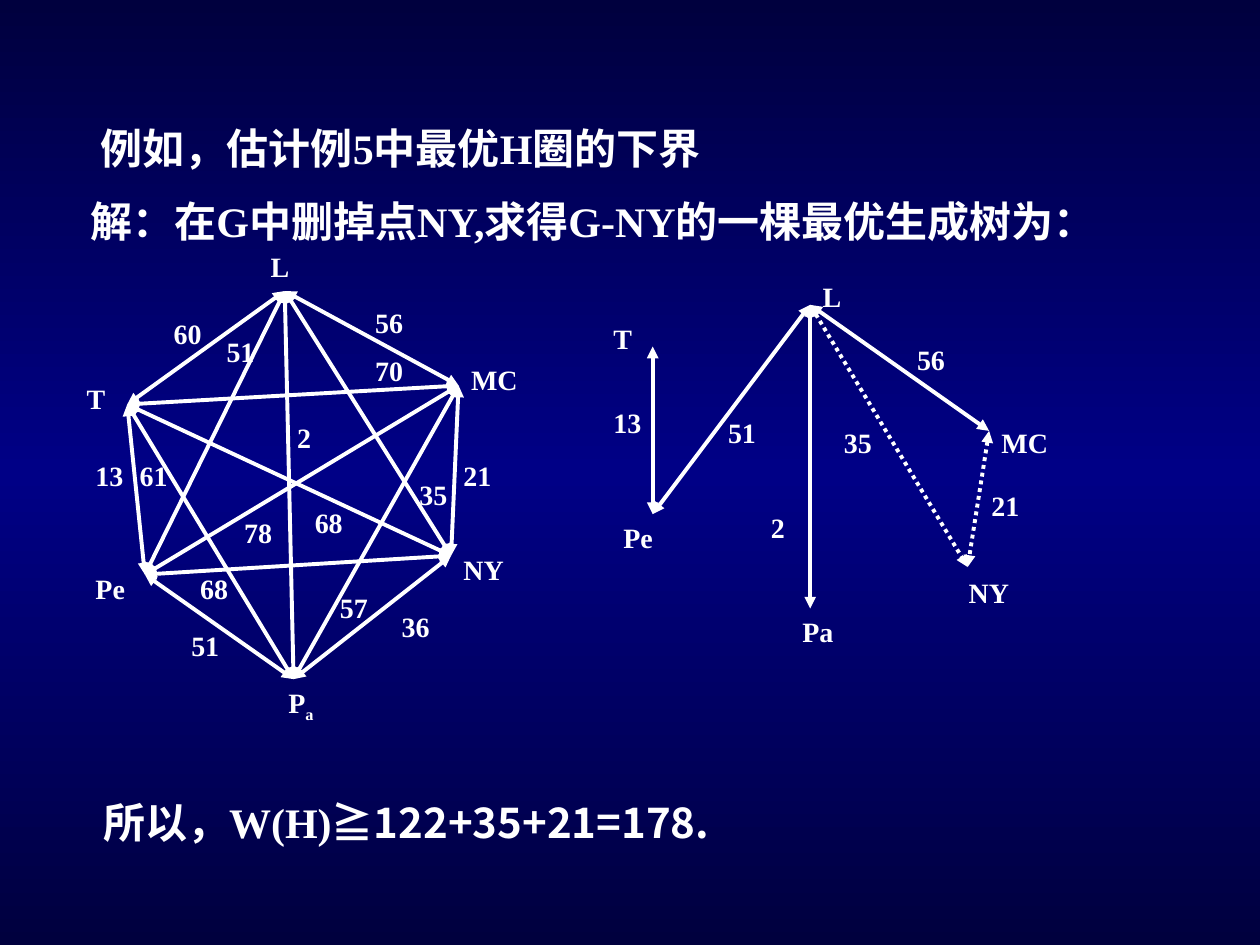
from copy import deepcopy
from itertools import combinations

from lxml.etree import SubElement
from pptx import Presentation
from pptx.dml.color import RGBColor
from pptx.enum.dml import MSO_LINE
from pptx.enum.shapes import MSO_CONNECTOR
from pptx.enum.text import MSO_ANCHOR, MSO_AUTO_SIZE, PP_ALIGN
from pptx.oxml.ns import qn
from pptx.util import Inches, Pt

LATIN = "Times New Roman"
HAN = "Noto Sans CJK SC"
WHITE = "FFFFFF"
DARK = "00003E"
BLUE = "000086"

NODES = {
    "L": (2.26, 2.31), "T": (1.01, 3.21), "MC": (3.64, 3.06),
    "Pe": (1.15, 4.56), "Pa": (2.33, 5.39), "NY": (3.58, 4.41),
}
NAMES = [
    ("T", 0.59, 2.98), ("Pe", 0.66, 4.49), ("MC", 3.64, 2.83),
    ("L", 2.05, 1.93), ("NY", 3.58, 4.34),
]
COSTS = [
    ("13", 0.66, 3.59), ("2", 2.26, 3.29), ("70", 2.88, 2.76),
    ("56", 2.88, 2.38), ("51", 1.7, 2.61), ("60", 1.28, 2.46),
    ("78", 1.84, 4.04), ("51", 1.42, 4.94), ("57", 2.6, 4.64),
    ("68", 1.49, 4.49), ("61", 1.01, 3.59), ("21", 3.58, 3.59),
    ("35", 3.23, 3.74), ("36", 3.09, 4.79), ("68", 2.4, 3.96),
]
TREE = {
    "T": (5.18, 2.75), "Pe": (5.18, 4.08), "L": (6.43, 2.42),
    "Pa": (6.43, 4.83), "MC": (7.85, 3.42), "NY": (7.68, 4.5),
}
SOLID = [("T", "Pe"), ("Pe", "L"), ("L", "Pa"), ("L", "MC")]
DOTS = [("MC", "NY"), ("L", "NY")]
TAGS = [
    ("51", 5.68, 3.25), ("13", 4.77, 3.17), ("MC", 7.85, 3.33),
    ("56", 7.18, 2.67), ("2", 6.02, 4), ("Pa", 6.27, 4.83),
    ("L", 6.43, 2.17), ("Pe", 4.85, 4.08), ("T", 4.77, 2.5),
    ("35", 6.6, 3.33), ("21", 7.77, 3.83), ("NY", 7.59, 4.52),
]


def shade(text):
    return RGBColor.from_string(text)


def paint(slide):
    fill = slide.background.fill
    fill.gradient()
    fill.gradient_angle = 90
    stops = slide.element.find(".//" + qn("a:gsLst"))
    stops.append(deepcopy(stops[0]))
    for stop, place, tint in zip(fill.gradient_stops, (0, 0.5, 1), (DARK, BLUE, DARK)):
        stop.position = place
        stop.color.rgb = shade(tint)


def style(font, size):
    font.name = LATIN
    font.size = Pt(size)
    font.bold = True
    font.color.rgb = shade(WHITE)


def write(box, text, size):
    frame = box.text_frame
    frame.word_wrap = True
    frame.auto_size = MSO_AUTO_SIZE.SHAPE_TO_FIT_TEXT
    frame.vertical_anchor = MSO_ANCHOR.TOP
    para = frame.paragraphs[0]
    para.alignment = PP_ALIGN.LEFT
    para.add_run().text = text
    style(para.font, size)
    return para


def label(shapes, text, left, top, width=0.6):
    box = shapes.add_textbox(Inches(left), Inches(top), Inches(width), Inches(0.37))
    return write(box, text, 16)


def line(box, text, left, top, width):
    box.left, box.top = Inches(left), Inches(top)
    box.width, box.height = Inches(width), Inches(0.5)
    para = write(box, text, 24)
    para._p.get_or_add_pPr().set("indent", str(Inches(0.45)))
    return para


def edge(shapes, start, end, dash=None):
    ends = [Inches(n) for n in (*start, *end)]
    link = shapes.add_connector(MSO_CONNECTOR.STRAIGHT, *ends)
    link.line.color.rgb = shade(WHITE)
    link.line.width = Pt(2.25)
    if dash:
        link.line.dash_style = dash
    stroke = link.line._get_or_add_ln()
    for tag in ("a:headEnd", "a:tailEnd"):
        SubElement(stroke, qn(tag), type="triangle")
    SubElement(link._element.spPr, qn("a:effectLst"))


def graph(slide):
    shapes = slide.shapes.add_group_shape().shapes
    for start, end in combinations(NODES.values(), 2):
        edge(shapes, start, end)
    for text, left, top in COSTS:
        label(shapes, text, left, top, 0.43)
    for text, left, top in NAMES:
        label(shapes, text, left, top)
    sub = label(shapes, "P", 2.19, 5.39, 0.71).add_run()
    sub.text = "a"
    sub.font._element.set("baseline", "-25000")


def tree(slide):
    shapes = slide.shapes.add_group_shape().shapes
    for pairs, dash in ((SOLID, None), (DOTS, MSO_LINE.ROUND_DOT)):
        for start, end in pairs:
            edge(shapes, TREE[start], TREE[end], dash)
    for text, left, top in TAGS:
        label(shapes, text, left, top)


def main():
    deck = Presentation()
    deck.slide_width, deck.slide_height = Inches(10), Inches(7.5)
    slide = deck.slides.add_slide(deck.slide_layouts[5])
    paint(slide)
    line(slide.shapes.title, "例如，估计例5中最优H圈的下界", 0.25, 0.92, 8.67)
    proof = slide.shapes.add_textbox(0, 0, 0, 0)
    line(proof, "解：在G中删掉点NY,求得G-NY的一棵最优生成树为：", 0.17, 1.5, 9.24)
    tree(slide)
    bound = slide.shapes.add_textbox(0, 0, 0, 0)
    tail = line(bound, "所以，W(H)", 0.27, 6.27, 8.67).add_run()
    tail.text = "≧122+35+21=178."
    tail.font.name = HAN
    graph(slide)
    deck.save("out.pptx")


if __name__ == "__main__":
    main()
